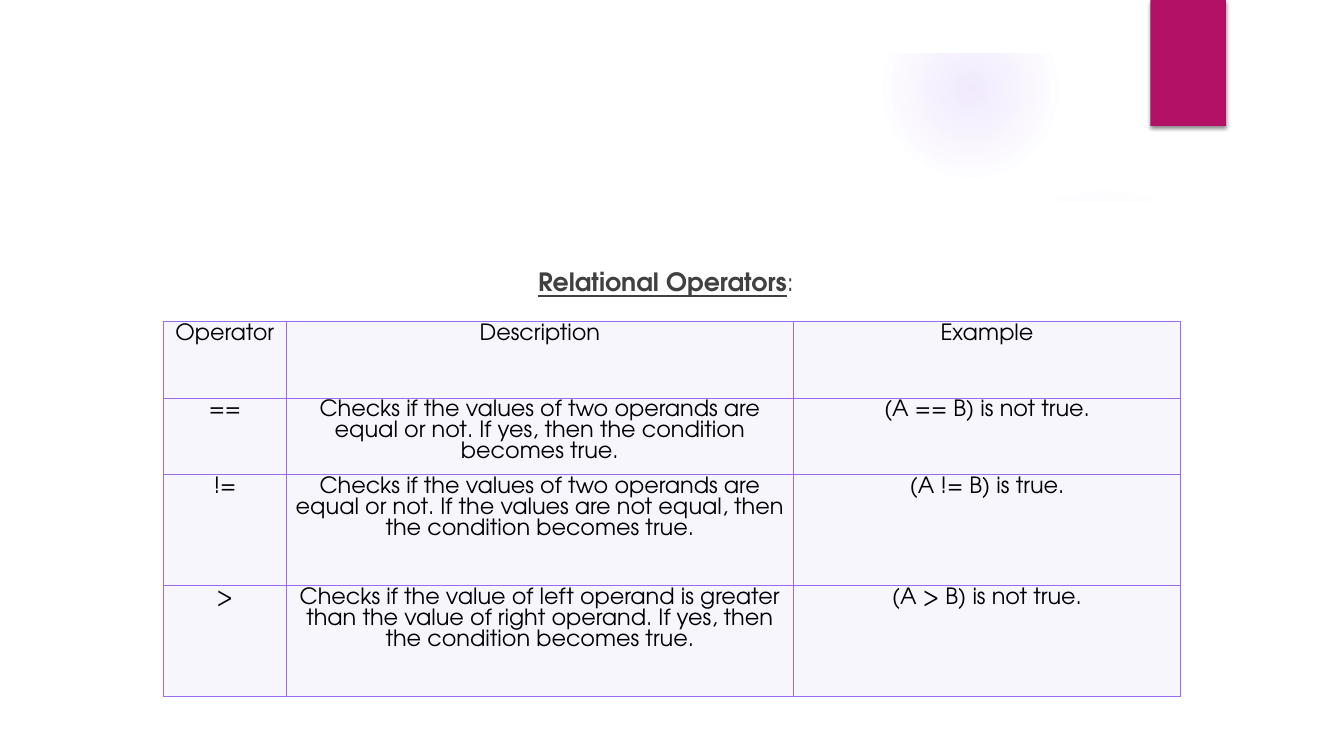
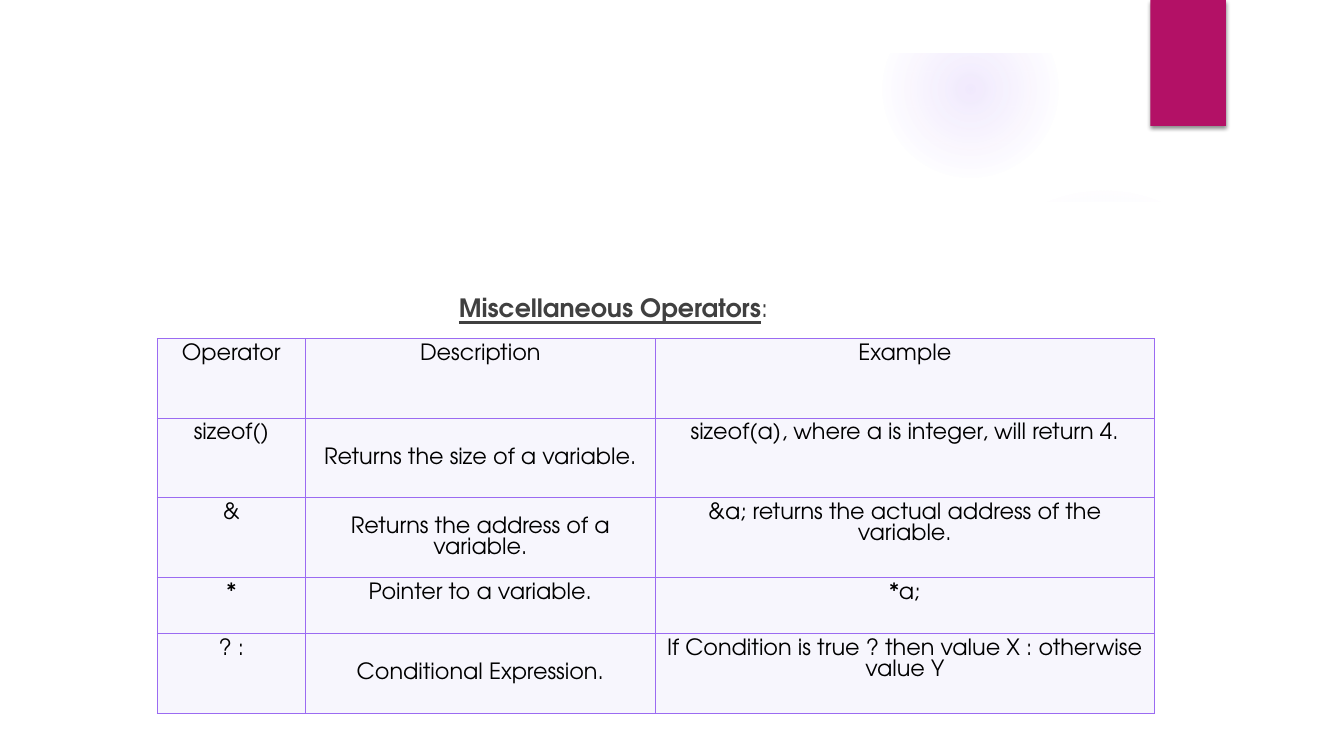
import dataclasses

import lxml.etree
import pptx
import pptx.dml.color
import pptx.enum.shapes
import pptx.enum.text
import pptx.oxml
import pptx.oxml.ns
import pptx.util

Inches = pptx.util.Inches
Pt = pptx.util.Pt
RGB = pptx.dml.color.RGBColor.from_string
SHAPE = pptx.enum.shapes.MSO_SHAPE
ANCHOR = pptx.enum.text.MSO_ANCHOR
CENTER = pptx.enum.text.PP_ALIGN.CENTER
NS = pptx.oxml.ns.nsdecls("a")


@dataclasses.dataclass(frozen=True)
class Theme:
    font: str = "TeX Gyre Adventor"
    white: str = "FFFFFF"
    violet: str = "9B6BF2"
    magenta: str = "B31166"
    cell: str = "F7F6FD"
    heading: str = "404040"
    text: str = "000000"
    heading_size: int = 18
    cell_size: int = 16
    cell_leading: int = 15
    border: float = 0.75


theme = Theme()


def paint(sp, color):
    sp.shadow.inherit = False
    sp.fill.solid()
    sp.fill.fore_color.rgb = RGB(color)
    sp.line.fill.background()


def write(p, text, size, color, **formats):
    r = p.add_run()
    r.text = text
    r.font.color.rgb = RGB(color)
    for name, value in {"name": theme.font, "size": Pt(size), **formats}.items():
        setattr(r.font, name, value)


slides = [
    {
        "heading": "Relational Operators",
        "heading_box": (0.62, 2.59, 11.97, 0.5),
        "table_at": (1.62, 3.19),
        "cols": (1.22, 5.03, 3.84),
        "rows": (0.76, 0.76, 1.1, 1.1),
        "inset": 0.02,
        "middle": (),
        "cells": [
            ("Operator", "Description", "Example"),
            ("==", "Checks if the values of two operands are equal or not. "
             "If yes, then the condition becomes true.", "(A == B) is not true."),
            ("!=", "Checks if the values of two operands are equal or not. "
             "If the values are not equal, then the condition becomes true.", "(A != B) is true."),
            (">", "Checks if the value of left operand is greater than the value of right operand. "
             "If yes, then the condition becomes true.", "(A > B) is not true."),
        ],
    },
    {
        "heading": "Miscellaneous Operators",
        "heading_box": (1.26, 2.85, 9.65, 0.5),
        "table_at": (1.56, 3.36),
        "cols": (1.47, 3.47, 4.95),
        "rows": (0.79, 0.79, 0.79, 0.56, 0.79),
        "inset": 0.05,
        "middle": ((1, 1), (2, 1), (4, 1)),
        "cells": [
            ("Operator", "Description", "Example"),
            ("sizeof()", "Returns the size of a variable.", "sizeof(a), where a is integer, will return 4."),
            ("&", "Returns the address of a variable.", "&a; returns the actual address of the variable."),
            ("*", "Pointer to a variable.", "*a;"),
            ("? :", "Conditional Expression.", "If Condition is true ? then value X : otherwise value Y"),
        ],
    },
]

prs = pptx.Presentation()
prs.slide_width, prs.slide_height = Inches(13.33), Inches(7.5)
layout = prs.slide_layouts[5]
pages = [prs.slides.add_slide(layout) for _ in slides]
shapes = pages[0].shapes
backdrop = []

halos = [
    (9.41, 1.83, 3.08, ((0, 7), (36, 6), (69, 0))),
    (8.75, 0.01, 1.75, ((0, 14), (36, 7), (73, 0))),
]
for left, top, size, stops in halos:
    halo = shapes.add_shape(SHAPE.OVAL, *map(Inches, (left, top, size, size)))
    paint(halo, theme.violet)
    stop_xml = "".join(
        f'<a:gs pos="{pos * 1000}"><a:srgbClr val="{theme.violet}">'
        f'<a:alpha val="{alpha * 1000}"/></a:srgbClr></a:gs>'
        for pos, alpha in stops
    )
    gradient = pptx.oxml.parse_xml(
        f'<a:gradFill {NS} rotWithShape="1"><a:gsLst>{stop_xml}</a:gsLst><a:path path="circle">'
        '<a:fillToRect l="50000" t="50000" r="50000" b="50000"/></a:path></a:gradFill>'
    )
    solid = halo.element.spPr.find(pptx.oxml.ns.qn("a:solidFill"))
    halo.element.spPr.replace(solid, gradient)
    backdrop.append(halo)

panel_outline = [
    (0.5, 2.04), (1.59, 2.18), (2.83, 2.3), (4.01, 2.38), (5.59, 2.46), (7.08, 2.48), (8.67, 2.45),
    (9.76, 2.39), (10.88, 2.3), (12, 2.17), (12.84, 2.04), (12.84, 7), (0.5, 7),
]
builder = shapes.build_freeform(*panel_outline[0], scale=Inches(1))
builder.add_line_segments(panel_outline[1:], close=True)
panel = builder.convert_to_shape()
paint(panel, theme.white)

frame = shapes.add_shape(SHAPE.FRAME, 0, 0, prs.slide_width, prs.slide_height)
frame.adjustments[0] = 0.07
paint(frame, theme.white)

ribbon = shapes.add_shape(SHAPE.RECTANGLE, *map(Inches, (11.41, 0, 0.75, 1.25)))
paint(ribbon, theme.magenta)
shadow = pptx.oxml.parse_xml(
    f'<a:outerShdw {NS} blurRad="{Pt(3)}" dist="{Pt(2)}" dir="5400000" rotWithShape="0">'
    '<a:srgbClr val="000000"><a:alpha val="45000"/></a:srgbClr></a:outerShdw>'
)
ribbon.element.spPr.find(pptx.oxml.ns.qn("a:effectLst")).append(shadow)

backdrop += [panel, frame, ribbon]
for number, sp in enumerate(backdrop, 100):
    sp.element.nvSpPr.cNvPr.set("id", str(number))
    layout.shapes.element.append(sp.element)

for s, content in zip(pages, slides):
    title = s.shapes.title
    box = map(Inches, content["heading_box"])
    for name, value in zip(("left", "top", "width", "height"), box):
        setattr(title, name, value)
    tf = title.text_frame
    tf.word_wrap = True
    tf.auto_size = pptx.enum.text.MSO_AUTO_SIZE.NONE
    tf.vertical_anchor = ANCHOR.TOP
    p = tf.paragraphs[0]
    p.alignment = CENTER
    write(p, content["heading"], theme.heading_size, theme.heading, bold=True, underline=True)
    write(p, ":", theme.heading_size, theme.heading, bold=False, underline=False)

    cols, rows = content["cols"], content["rows"]
    size = map(Inches, (*content["table_at"], sum(cols), sum(rows)))
    table = s.shapes.add_table(len(rows), len(cols), *size).table
    table.first_row = table.horz_banding = False
    for column, width in zip(table.columns, cols):
        column.width = Inches(width)
    for row, height in zip(table.rows, rows):
        row.height = Inches(height)

    for i, texts in enumerate(content["cells"]):
        for j, text in enumerate(texts):
            cell = table.cell(i, j)
            cell.fill.solid()
            cell.fill.fore_color.rgb = RGB(theme.cell)
            cell.vertical_anchor = ANCHOR.MIDDLE if (i, j) in content["middle"] else ANCHOR.TOP
            for side in ("left", "right", "top", "bottom"):
                setattr(cell, f"margin_{side}", Inches(content["inset"]))
            tc_pr = cell._tc.get_or_add_tcPr()
            for k, side in enumerate("LRTB"):
                tc_pr.insert(k, pptx.oxml.parse_xml(
                    f'<a:ln{side} {NS} w="{Pt(theme.border)}"><a:solidFill>'
                    f'<a:srgbClr val="{theme.violet}"/></a:solidFill></a:ln{side}>'
                ))
            p = cell.text_frame.paragraphs[0]
            p.alignment = CENTER
            p.line_spacing = Pt(theme.cell_leading)
            write(p, text, theme.cell_size, theme.text)

prs.save("out.pptx")
